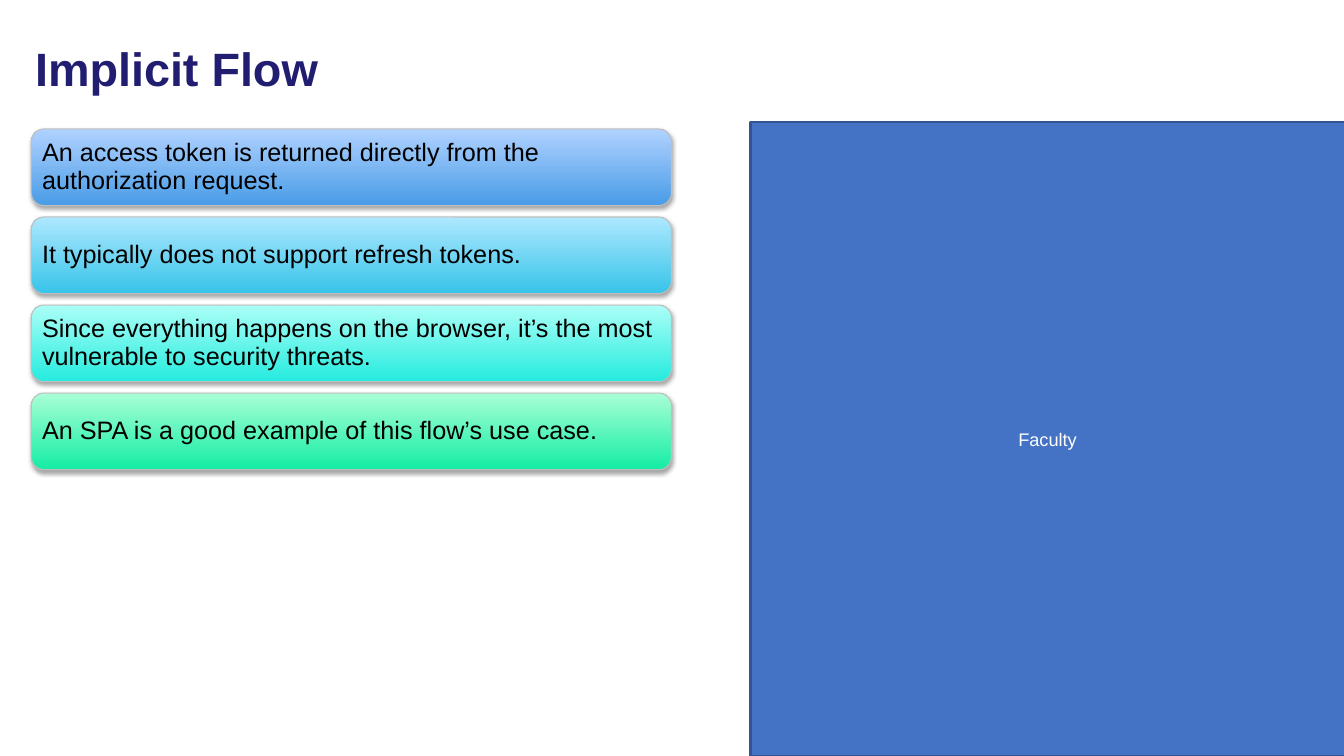
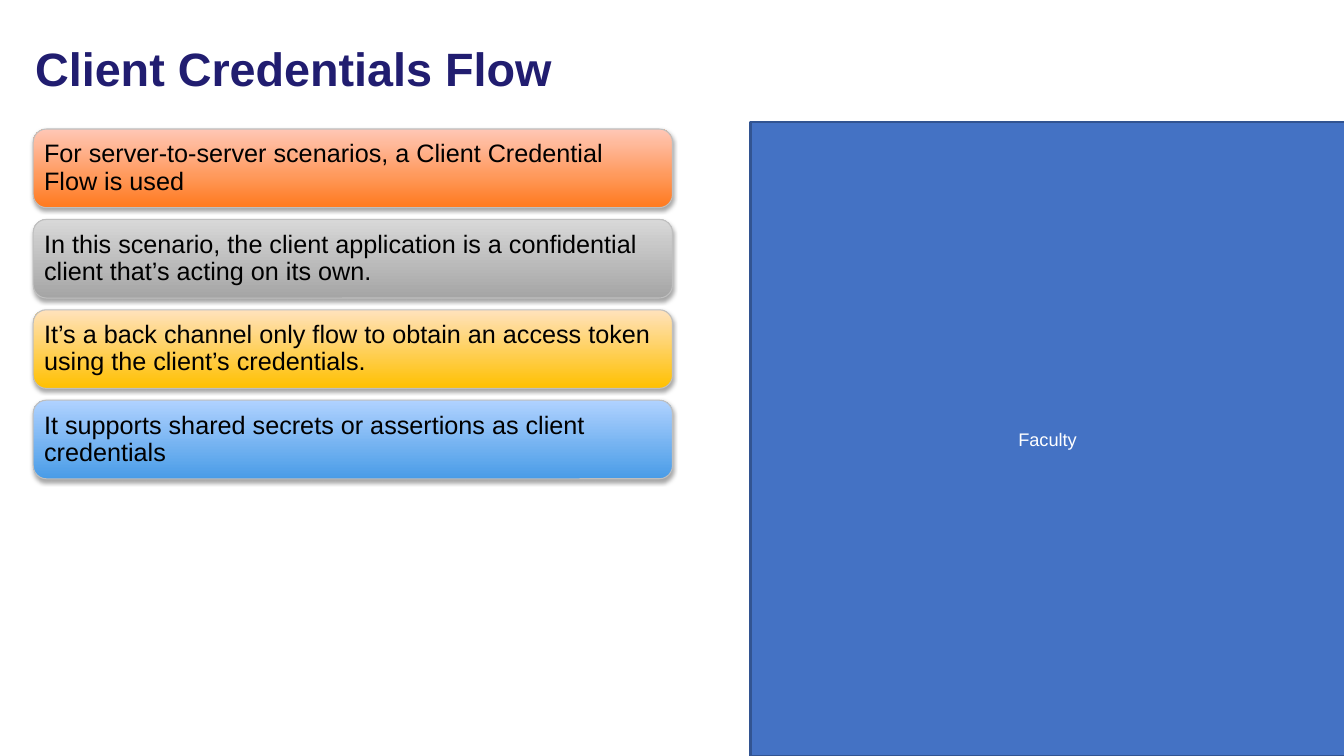
from dataclasses import dataclass

from lxml.etree import SubElement
from pptx import Presentation
from pptx.dml.color import RGBColor as RGB
from pptx.enum.shapes import MSO_SHAPE as Shape
from pptx.enum.text import MSO_ANCHOR as Anchor, PP_ALIGN as Align
from pptx.oxml.ns import qn
from pptx.util import Inches, Pt

FONT = "Arial"
NAVY = RGB(0x21, 0x1D, 0x70)
BLACK = RGB(0x00, 0x00, 0x00)
WHITE = RGB(0xFF, 0xFF, 0xFF)
PANEL = RGB(0x44, 0x72, 0xC4)
EDGE = RGB(0x32, 0x54, 0x91)
RIM = RGB(0xBF, 0xBF, 0xBF)

# Each tint runs from its bottom colour to its top colour.
BLUE = (RGB(0x49, 0x9C, 0xE7), RGB(0xB0, 0xD2, 0xFF))
SKY = (RGB(0x37, 0xC4, 0xE9), RGB(0xAE, 0xE8, 0xFF))
AQUA = (RGB(0x25, 0xEB, 0xDE), RGB(0xAB, 0xFF, 0xF7))
GREEN = (RGB(0x13, 0xED, 0xA4), RGB(0xAA, 0xFF, 0xD6))
ORANGE = (RGB(0xFF, 0x7A, 0x1F), RGB(0xFF, 0xC7, 0xB6))
GRAY = (RGB(0xA5, 0xA5, 0xA5), RGB(0xD8, 0xD8, 0xD8))
GOLD = (RGB(0xFF, 0xC0, 0x00), RGB(0xFF, 0xE2, 0xBD))


@dataclass
class Card:
    text: str
    tint: tuple[RGB, RGB]


@dataclass
class Page:
    title: str
    left: float
    width: float
    height: float
    base: float  # bottom of the last card
    cards: list[Card]


TOP = 1.28
PAGES = [
    Page("Implicit Flow", 0.31, 6.35, 0.76, 4.66, [
        Card("An access token is returned directly from the authorization request.", BLUE),
        Card("It typically does not support refresh tokens.", SKY),
        Card("Since everything happens on the browser, it’s the most "
             "vulnerable to security threats.", AQUA),
        Card("An SPA is a good example of this flow’s use case.", GREEN),
    ]),
    Page("Client Credentials Flow", 0.33, 6.34, 0.78, 4.75, [
        Card("For server-to-server scenarios, a Client Credential Flow is used", ORANGE),
        Card("In this scenario, the client application is a confidential "
             "client that’s acting on its own.", GRAY),
        Card("It’s a back channel only flow to obtain an access token "
             "using the client’s credentials.", GOLD),
        Card("It supports shared secrets or assertions as client credentials", BLUE),
    ]),
]


def write(shape, text: str, size: float, color: RGB, bold: bool = False,
          align=Align.LEFT, space: float = 0.9) -> None:
    frame = shape.text_frame
    frame.text = text
    frame.word_wrap = True
    frame.vertical_anchor = Anchor.MIDDLE
    para = frame.paragraphs[0]
    para.alignment = align
    para.line_spacing = space
    font = para.runs[0].font
    font.name, font.size, font.bold = FONT, Pt(size), bold
    font.color.rgb = color


def add_box(slide, kind, left: float, top: float, width: float, height: float,
            line: RGB, weight: float):
    box = slide.shapes.add_shape(
        kind, Inches(left), Inches(top), Inches(width), Inches(height))
    box.shadow.inherit = False
    box.line.color.rgb = line
    box.line.width = Pt(weight)
    return box


def add_shade(shape) -> None:
    """Give the shape a soft shadow straight below it."""
    effects = shape._element.spPr.find(qn("a:effectLst"))
    shade = SubElement(effects, qn("a:outerShdw"), blurRad=str(Pt(3.1)),
                       dist=str(Pt(1.8)), dir="5400000", rotWithShape="0")
    color = SubElement(shade, qn("a:srgbClr"), val=str(BLACK))
    SubElement(color, qn("a:alpha"), val="35000")


def add_card(slide, card: Card, left: float, top: float, width: float,
             height: float) -> None:
    box = add_box(slide, Shape.ROUNDED_RECTANGLE, left, top, width, height, RIM, 0.75)
    box.fill.gradient()
    box.fill.gradient_angle = 90
    for stop, color in zip(box.fill.gradient_stops, card.tint):
        stop.color.rgb = color
    add_shade(box)
    frame = box.text_frame
    frame.margin_left = frame.margin_right = Inches(0.07)
    frame.margin_top = frame.margin_bottom = Inches(0.07)
    write(box, card.text, 18, BLACK)


def add_frame(slide, title: str) -> None:
    """Draw the side panel and the title that every slide has."""
    panel = add_box(slide, Shape.RECTANGLE, 7.44, 1.21, 5.9, 6.29, EDGE, 2)
    panel.fill.solid()
    panel.fill.fore_color.rgb = PANEL
    write(panel, "Faculty", 13, WHITE, align=Align.CENTER, space=1.0)
    head = slide.shapes.add_textbox(
        Inches(0.25), Inches(0.25), Inches(11.81), Inches(0.91))
    write(head, title, 33.4, NAVY, bold=True)


def add_page(deck, page: Page) -> None:
    slide = deck.slides.add_slide(deck.slide_layouts[6])
    add_frame(slide, page.title)
    step = (page.base - TOP - page.height) / (len(page.cards) - 1)
    for row, card in enumerate(page.cards):
        add_card(slide, card, page.left, TOP + row * step, page.width, page.height)


def main() -> None:
    deck = Presentation()
    deck.slide_width, deck.slide_height = Inches(13.33), Inches(7.5)
    for page in PAGES:
        add_page(deck, page)
    deck.save("out.pptx")


if __name__ == "__main__":
    main()
